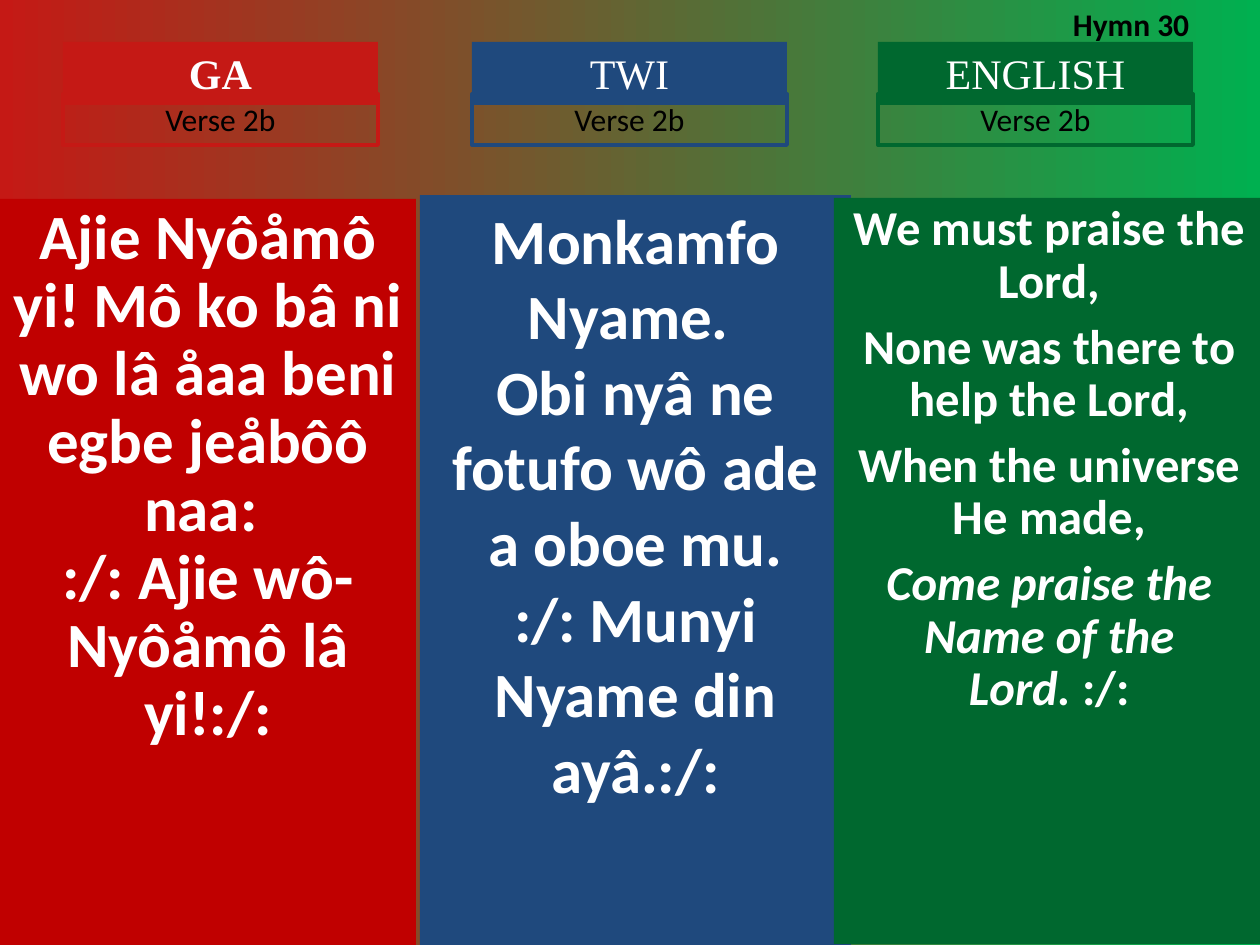
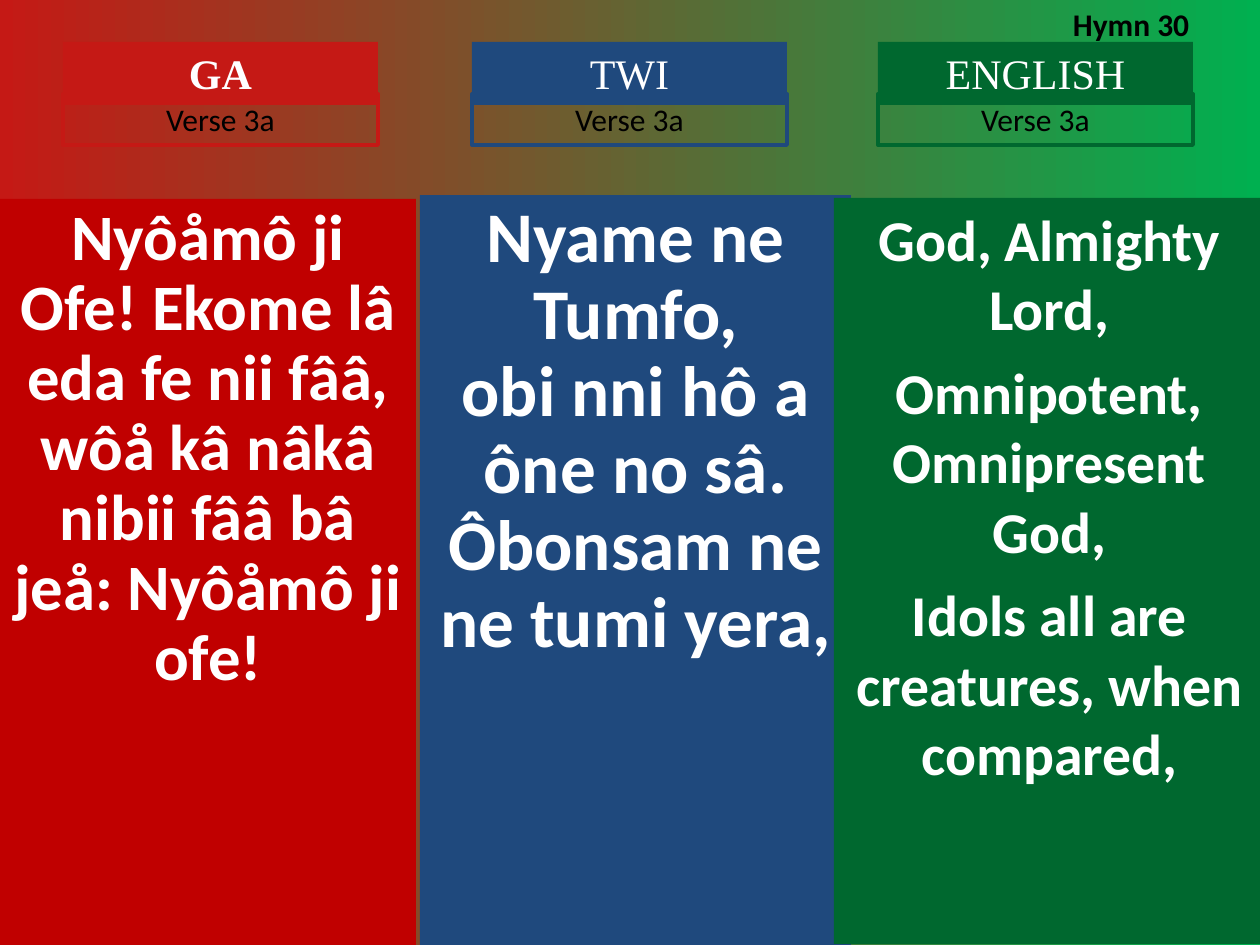
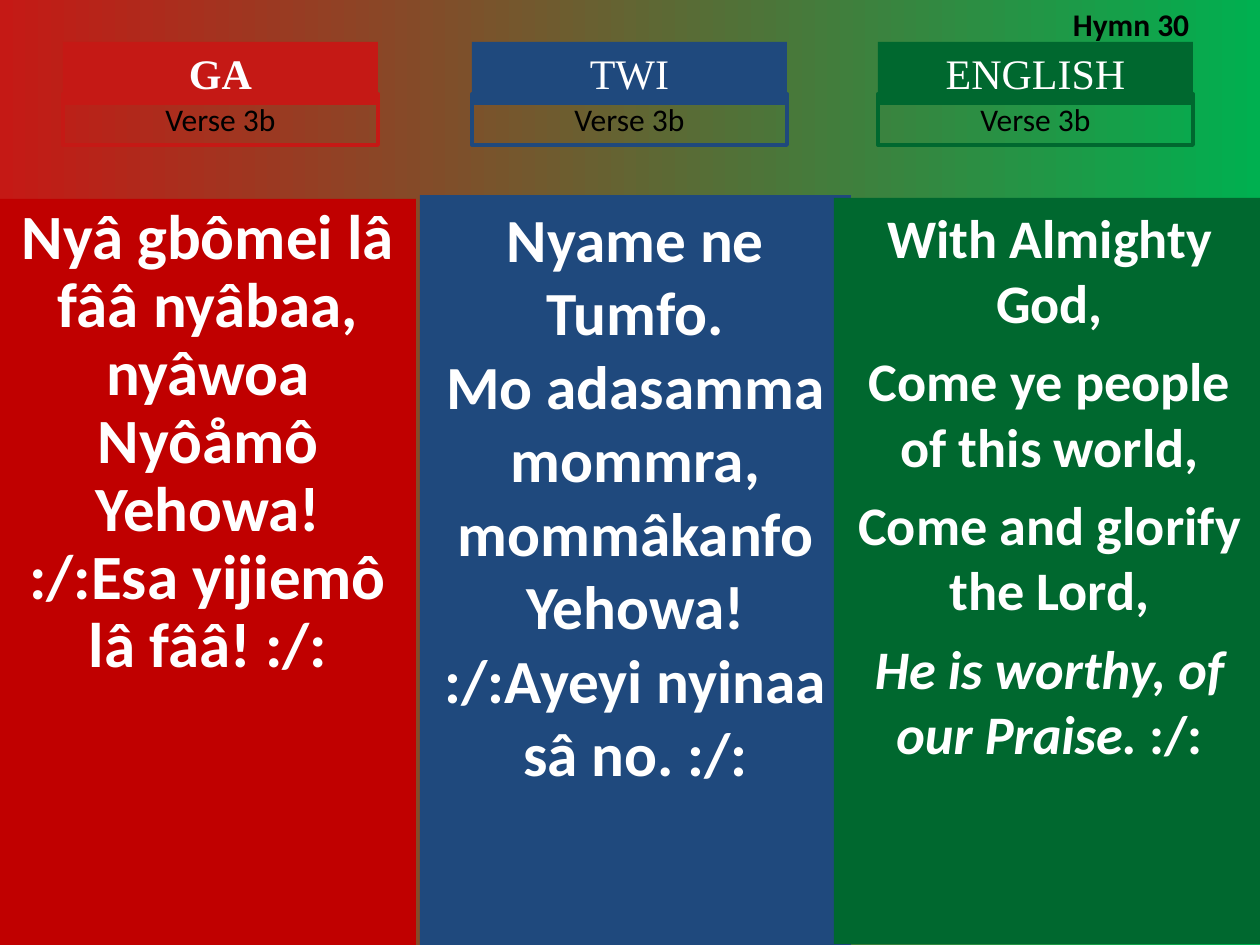
from pptx import Presentation, util as u
from pptx.dml.color import RGBColor
from pptx.enum import shapes, text

PX = 914400 // 126
WHITE, BLACK = "FFFFFF", "000000"
RED, BLUE, GREEN = "C51915", "1F497D", "00682F"

# name, bold name, colour, heading left, panel colour, panel box
COLUMNS = [
    ("GA", True, RED, 63, "C00000", (0, 199, 416, 746)),
    ("TWI", False, BLUE, 472, BLUE, (420, 195, 431, 750)),
    ("ENGLISH", False, GREEN, 878, GREEN, (834, 198, 431, 746)),
]

# One (size, line spacing, space before, lines) for each column;
# a line given as a pair has an italic part and an upright part.
VERSES = {
    "Verse 2b": [
        (36, 0.9, 0, [
            "Ajie Nyôåmô yi! Mô ko bâ ni wo lâ åaa beni egbe jeåbôô naa: ",
            ":/: Ajie wô-Nyôåmô lâ yi!:/:"]),
        (36, 1, 0, [
            "Monkamfo Nyame. ",
            "Obi nyâ ne fotufo wô ade a oboe mu.",
            ":/: Munyi Nyame din ayâ.:/:"]),
        (27.8, 0.9, 7.5, [
            "We must praise the Lord,",
            "None was there to help the Lord,",
            "When the universe He made,",
            ("Come praise the Name of the Lord. ", ":/:")]),
    ],
    "Verse 3a": [
        (37, 0.9, 0, [
            "Nyôåmô ji Ofe! Ekome lâ eda fe nii fââ, wôå kâ nâkâ nibii fââ "
            "bâ jeå: Nyôåmô ji ofe!"]),
        (40.7, 0.9, 0, [
            "Nyame ne Tumfo,",
            "obi nni hô a ône no sâ.",
            "Ôbonsam ne ne tumi yera,"]),
        (33, 1, 8.2, [
            "God, Almighty Lord,",
            "Omnipotent, Omnipresent God,",
            "Idols all are creatures, when compared,"]),
    ],
    "Verse 3b": [
        (36, 0.9, 0, [
            "Nyâ gbômei lâ fââ nyâbaa,",
            "nyâwoa Nyôåmô Yehowa!",
            ":/:Esa yijiemô lâ fââ! :/:"]),
        (35, 1, 0, [
            "Nyame ne Tumfo.",
            "Mo adasamma mommra,",
            "mommâkanfo Yehowa!",
            ":/:Ayeyi nyinaa sâ no. :/:"]),
        (31, 1, 7.7, [
            "With Almighty God,",
            "Come ye people of this world,",
            "Come and glorify the Lord,",
            ("He is worthy, of our Praise. ", ":/:")]),
    ],
}


def write(shape, lines, size, color=WHITE, font="Calibri", bold=False,
          align=text.PP_ALIGN.CENTER, spacing=1, before=0, grow=True):
    frame = shape.text_frame
    frame.word_wrap = True
    frame.vertical_anchor = text.MSO_ANCHOR.TOP
    frame.margin_left = frame.margin_right = 12 * PX
    frame.margin_top = frame.margin_bottom = 6 * PX
    if grow:
        frame.auto_size = text.MSO_AUTO_SIZE.SHAPE_TO_FIT_TEXT
    for index, line in enumerate(lines):
        paragraph = frame.add_paragraph() if index else frame.paragraphs[0]
        paragraph.alignment = align
        paragraph.line_spacing = float(spacing)
        paragraph.space_before = u.Pt(before if index else 0)
        italic, upright = line if isinstance(line, tuple) else ("", line)
        for part in filter(None, (italic, upright)):
            run = paragraph.add_run()
            run.text = part
            run.font.name, run.font.size = font, u.Pt(size)
            run.font.bold, run.font.italic = bold, part == italic
            run.font.color.rgb = RGBColor.from_string(color)


def add_box(slide, box, fill=None, line=None):
    shape = slide.shapes.add_shape(shapes.MSO_SHAPE.RECTANGLE,
                                   *(length * PX for length in box))
    shape.shadow.inherit = False
    if fill:
        shape.fill.solid()
        shape.fill.fore_color.rgb = RGBColor.from_string(fill)
    else:
        shape.fill.background()
    if line:
        shape.line.color.rgb = RGBColor.from_string(line)
        shape.line.width = u.Pt(2.25)
    else:
        shape.line.fill.background()
    return shape


presentation = Presentation()
presentation.slide_width, presentation.slide_height = 1260 * PX, 945 * PX

background = presentation.slide_master.background.fill
background.gradient()
background.gradient_angle = 0
for stop, color in zip(background.gradient_stops, (RED, "00B050")):
    stop.color.rgb = RGBColor.from_string(color)

for verse, lyrics in VERSES.items():
    slide = presentation.slides.add_slide(presentation.slide_layouts[6])
    for column, lyric in zip(COLUMNS, lyrics):
        name, bold, color, left, panel_color, panel_box = column
        size, spacing, before, lines = lyric
        panel = add_box(slide, panel_box, fill=panel_color)
        write(panel, lines, size, bold=True, spacing=spacing, before=before,
              grow=False)
        heading = add_box(slide, (left, 42, 315, 63), fill=color)
        write(heading, [name], 24, font="Times New Roman", bold=bold)
        verse_label = add_box(slide, (left, 94, 315, 51), line=color)
        write(verse_label, [verse], 18, color=BLACK)
    hymn_number = slide.shapes.add_textbox(1061 * PX, -1 * PX, 189 * PX, 51 * PX)
    write(hymn_number, ["Hymn 30"], 18, color=BLACK, bold=True,
          align=text.PP_ALIGN.LEFT)

presentation.save("out.pptx")
